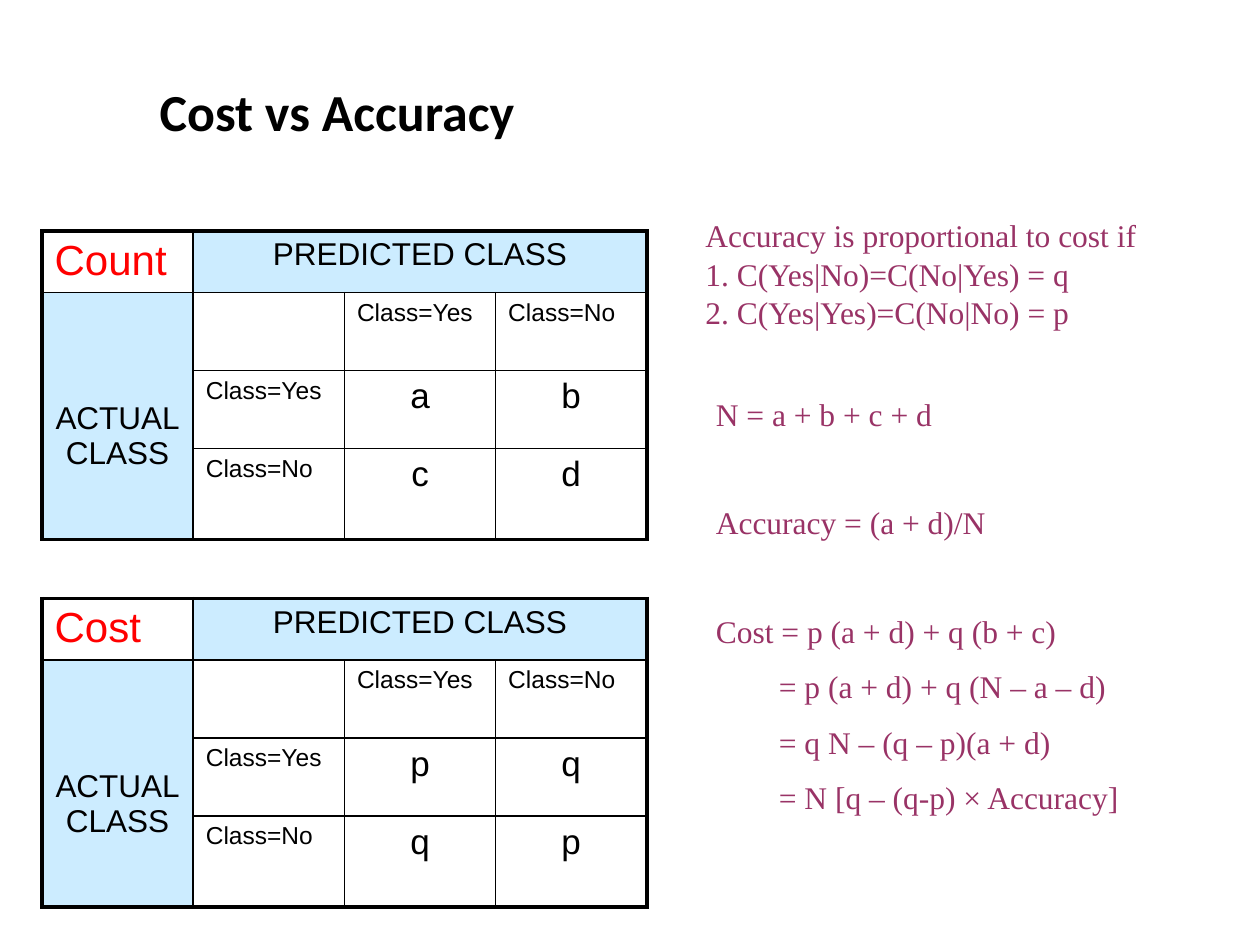
from dataclasses import dataclass

from lxml import etree
from pptx import Presentation
from pptx.dml.color import RGBColor
from pptx.enum.text import MSO_ANCHOR, PP_ALIGN
from pptx.oxml.ns import qn
from pptx.util import Pt

LEFT, CENTER = PP_ALIGN.LEFT, PP_ALIGN.CENTER
MIDDLE = MSO_ANCHOR.MIDDLE

BLACK, RED, PLUM, PALE_BLUE = "000000", "FF0000", "993366", "CCECFF"
OUTER_LINE, INNER_LINE = 2.25, 1
COLUMN_WIDTH = 86.4
ROW_HEIGHTS = (35.2, 44.6, 44.6, 52)
ACTUAL_CLASS_DROP = 62  # space above the row heading


@dataclass
class Matrix:
    heading: str
    top: float
    values: tuple[str, str, str, str]


@dataclass
class Formula:
    text: str
    space_before: float = 10
    indent: float = 0


MATRICES = (
    Matrix("Count", 132, ("a", "b", "c", "d")),
    Matrix("Cost", 342, ("p", "q", "q", "p")),
)
FORMULAS = (
    Formula("N = a + b + c + d", space_before=0),
    Formula("Accuracy = (a + d)/N", space_before=40.5),
    Formula("Cost = p (a + d) + q (b + c)", space_before=40.5),
    Formula("= p (a + d) + q (N – a – d)", indent=36),
    Formula("= q N – (q – p)(a + d)", indent=36),
    Formula("= N [q – (q-p) × Accuracy]", indent=36),
)
CONDITIONS = (
    "Accuracy is proportional to cost if\v"
    "1. C(Yes|No)=C(No|Yes) = q\v"
    "2. C(Yes|Yes)=C(No|No) = p"
)


def rgb(value: str) -> RGBColor:
    return RGBColor.from_string(value)


def style(paragraph, typeface: str, size: float, color: str, align=LEFT, bold=False) -> None:
    paragraph.alignment = align
    font = paragraph.font
    font.name, font.size, font.bold = typeface, Pt(size), bold
    font.color.rgb = rgb(color)


def write_cell(cell, text: str, size: float, color: str = BLACK, align=CENTER) -> None:
    paragraph = cell.text_frame.paragraphs[0]
    paragraph.text = text
    style(paragraph, "Arial", size, color, align)


def set_borders(cell, widths: dict[str, float]) -> None:
    properties = cell._tc.get_or_add_tcPr()
    for position, (side, width) in enumerate(widths.items()):
        line = etree.Element(qn(f"a:{side}"), w=str(Pt(width)))
        fill = etree.SubElement(line, qn("a:solidFill"))
        etree.SubElement(fill, qn("a:srgbClr"), val=BLACK)
        properties.insert(position, line)


def add_matrix(slide, matrix: Matrix) -> None:
    size = len(ROW_HEIGHTS)
    table = slide.shapes.add_table(
        size, size, Pt(24), Pt(matrix.top), Pt(COLUMN_WIDTH * size), Pt(sum(ROW_HEIGHTS))
    ).table
    table.first_row = table.horz_banding = False
    for column in table.columns:
        column.width = Pt(COLUMN_WIDTH)
    for row, height in zip(table.rows, ROW_HEIGHTS):
        row.height = Pt(height)

    # Headings
    predicted, actual = table.cell(0, 1), table.cell(1, 0)
    predicted.merge(table.cell(0, 3))
    actual.merge(table.cell(3, 0))
    write_cell(table.cell(0, 0), matrix.heading, 24, RED, LEFT)
    write_cell(predicted, "PREDICTED CLASS", 18)
    write_cell(actual, "ACTUAL\vCLASS", 18)
    actual.margin_top = Pt(ACTUAL_CLASS_DROP)

    # Class labels and values
    for index, label in enumerate(("Class=Yes", "Class=No"), start=2):
        write_cell(table.cell(1, index), label, 14, align=LEFT)
        write_cell(table.cell(index, 1), label, 14, align=LEFT)
    for index, value in enumerate(matrix.values):
        write_cell(table.cell(2 + index // 2, 2 + index % 2), value, 20)

    # Fills and borders
    for row in range(size):
        for column in range(size):
            cell = table.cell(row, column)
            if (row == 0) != (column == 0):
                cell.fill.solid()
                cell.fill.fore_color.rgb = rgb(PALE_BLUE)
            else:
                cell.fill.background()
            across = cell.span_width if cell.is_merge_origin else 1
            down = cell.span_height if cell.is_merge_origin else 1
            on_edge = {
                "lnL": column == 0,
                "lnR": column + across == size,
                "lnT": row == 0,
                "lnB": row + down == size,
            }
            set_borders(cell, {s: OUTER_LINE if e else INNER_LINE for s, e in on_edge.items()})


def add_text_frame(slide, left: float, top: float, width: float, height: float):
    frame = slide.shapes.add_textbox(Pt(left), Pt(top), Pt(width), Pt(height)).text_frame
    frame.word_wrap = True
    return frame


def add_formulas(slide) -> None:
    frame = add_text_frame(slide, 402, 222, 282, 289)
    for index, formula in enumerate(FORMULAS):
        paragraph = frame.add_paragraph() if index else frame.paragraphs[0]
        paragraph.text = formula.text
        paragraph.space_before = Pt(formula.space_before)
        if formula.indent:
            paragraph._p.get_or_add_pPr().set("marL", str(Pt(formula.indent)))
        style(paragraph, "Times New Roman", 18, PLUM)


def add_conditions(slide) -> None:
    paragraph = add_text_frame(slide, 396, 120, 294, 72).paragraphs[0]
    paragraph.text = CONDITIONS
    paragraph.line_spacing = Pt(21.8)
    style(paragraph, "Times New Roman", 18, PLUM)


def main() -> None:
    presentation = Presentation()
    presentation.slide_width, presentation.slide_height = Pt(720), Pt(540)
    slide = presentation.slides.add_slide(presentation.slide_layouts[5])

    # Title
    title = slide.shapes.title
    title.left, title.top, title.width, title.height = Pt(84), Pt(42), Pt(546), Pt(42)
    title.text_frame.text = "Cost vs Accuracy"
    title.text_frame.vertical_anchor = MIDDLE
    style(title.text_frame.paragraphs[0], "Calibri", 29.7, BLACK, bold=True)

    # Count and cost matrices
    for matrix in MATRICES:
        add_matrix(slide, matrix)

    # Derivation beside the matrices
    add_formulas(slide)
    add_conditions(slide)
    presentation.save("out.pptx")


if __name__ == "__main__":
    main()
